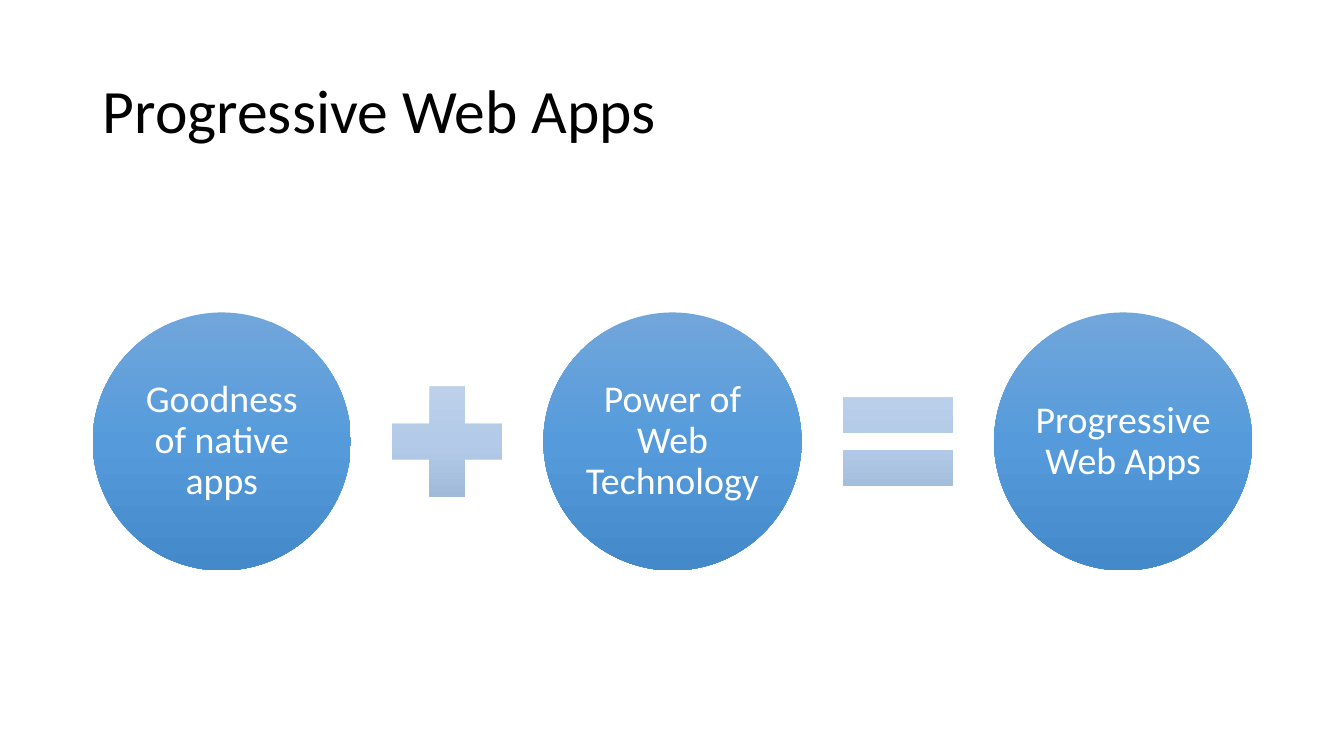
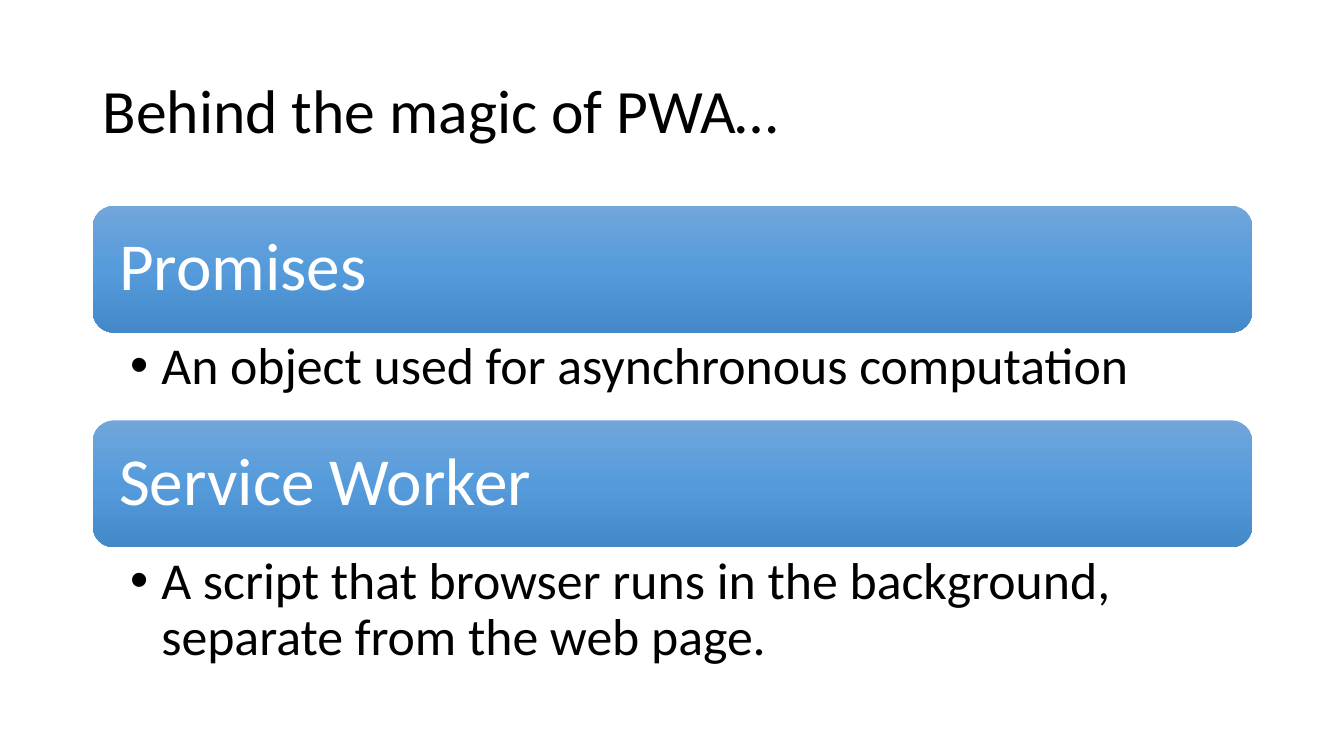
"""Builds two slides on progressive web apps."""
from lxml.etree import SubElement
from pptx import Presentation
from pptx.dml.color import RGBColor
from pptx.enum.shapes import MSO_SHAPE
from pptx.enum.text import MSO_ANCHOR, MSO_AUTO_SIZE, PP_ALIGN
from pptx.oxml.ns import qn
from pptx.util import Inches, Pt

COLORS = {"text": "000000", "light": "FFFFFF"}
GRADIENTS = {
    "main": {0: "71A6DB", 50: "559BDB", 100: "448ACA"},
    "sign": {0: "C0D2EB", 50: "B3CBE9", 100: "9BB4D3"},
}
LEFT, WIDTH = 0.92, 11.5
TITLE_BOX = (LEFT, 0.4, WIDTH, 1.45)
STYLES = {
    "title": dict(size=44, color="text", align=PP_ALIGN.LEFT,
                  anchor=MSO_ANCHOR.MIDDLE, inset=(0.1, 0.05)),
    "circle": dict(size=27, color="light", align=PP_ALIGN.CENTER,
                   anchor=MSO_ANCHOR.MIDDLE, inset=(0, 0.04)),
    "band": dict(size=48, color="light", align=PP_ALIGN.LEFT,
                 anchor=MSO_ANCHOR.MIDDLE, inset=(0.2, 0.2)),
    "detail": dict(size=37, color="text", align=PP_ALIGN.LEFT,
                   anchor=MSO_ANCHOR.TOP, inset=(0.37, 0.07)),
}

EQUATION_TITLE = "Progressive Web Apps"
TERMS = ["Goodness of native apps", "Power of Web Technology", "Progressive Web Apps"]
SIGNS = [MSO_SHAPE.MATH_PLUS, MSO_SHAPE.MATH_EQUAL]
CIRCLE, SIGN, MIDDLE = 2.56, 1.49, 4.38

TOPICS_TITLE = "Behind the magic of PWA…"
TOPICS = [
    ("Promises", "An object used for asynchronous computation", 0.87),
    ("Service Worker",
     "A script that browser runs in the background, separate from the web page.", 1.28),
]
TOPICS_TOP, BAND_H, INDENT = 2.04, 1.26, 0.31


def write(sp, text, style):
    st = STYLES[style]
    tf = sp.text_frame
    tf.text = text
    dx, dy = map(Inches, st["inset"])
    frame = dict(word_wrap=True, auto_size=MSO_AUTO_SIZE.NONE,
                 vertical_anchor=st["anchor"], margin_left=dx, margin_right=dx,
                 margin_top=dy, margin_bottom=dy)
    p = tf.paragraphs[0]
    para = dict(alignment=st["align"], line_spacing=0.9,
                space_before=Pt(0), space_after=Pt(0))
    font = dict(size=Pt(st["size"]), name="Calibri")
    for obj, values in ((tf, frame), (p, para), (p.runs[0].font, font)):
        for key, value in values.items():
            setattr(obj, key, value)
    p.runs[0].font.color.rgb = RGBColor.from_string(COLORS[st["color"]])
    return p


def place(sp, box):
    for key, value in zip(("left", "top", "width", "height"), box):
        setattr(sp, key, Inches(value))


def add_shape(s, kind, box, gradient):
    sp = s.shapes.add_shape(kind, *map(Inches, box))
    sp.shadow.inherit = False
    sp.line.fill.background()
    sp.fill.gradient()
    sp.fill.gradient_angle = 270
    stops = sp.element.spPr.find(".//" + qn("a:gsLst"))
    for old in list(stops):
        stops.remove(old)
    for pos, color in GRADIENTS[gradient].items():
        gs = SubElement(stops, qn("a:gs"), pos=str(pos * 1000))
        SubElement(gs, qn("a:srgbClr"), val=color)
    return sp


def add_slide(prs, layout, title):
    s = prs.slides.add_slide(prs.slide_layouts.get_by_name(layout))
    place(s.shapes.title, TITLE_BOX)
    write(s.shapes.title, title, "title")
    return s


def add_equation(prs):
    s = add_slide(prs, "Title Only", EQUATION_TITLE)
    step = (WIDTH - CIRCLE) / (len(TERMS) - 1)
    for i, term in enumerate(TERMS):
        box = (LEFT + i * step, MIDDLE - CIRCLE / 2, CIRCLE, CIRCLE)
        write(add_shape(s, MSO_SHAPE.OVAL, box, "main"), term, "circle")
    for i, sign in enumerate(SIGNS):
        x = LEFT + i * step + (CIRCLE + step - SIGN) / 2
        add_shape(s, sign, (x, MIDDLE - SIGN / 2, SIGN, SIGN), "sign")


def add_topics(prs):
    s = add_slide(prs, "Two Content", TOPICS_TITLE)
    y = TOPICS_TOP
    for i, (name, detail, height) in enumerate(TOPICS):
        band = add_shape(s, MSO_SHAPE.ROUNDED_RECTANGLE, (LEFT, y, WIDTH, BAND_H), "main")
        write(band, name, "band")
        body = s.placeholders[i + 1]
        place(body, (LEFT, y + BAND_H, WIDTH, height))
        pPr = write(body, detail, "detail")._p.get_or_add_pPr()
        pPr.set("marL", str(Inches(INDENT)))
        pPr.set("indent", str(-Inches(INDENT)))
        SubElement(pPr, qn("a:buChar"), char="•")
        y += BAND_H + height


def main():
    prs = Presentation()
    prs.slide_width, prs.slide_height = Inches(13.33), Inches(7.5)
    add_equation(prs)
    add_topics(prs)
    prs.save("out.pptx")


if __name__ == "__main__":
    main()
